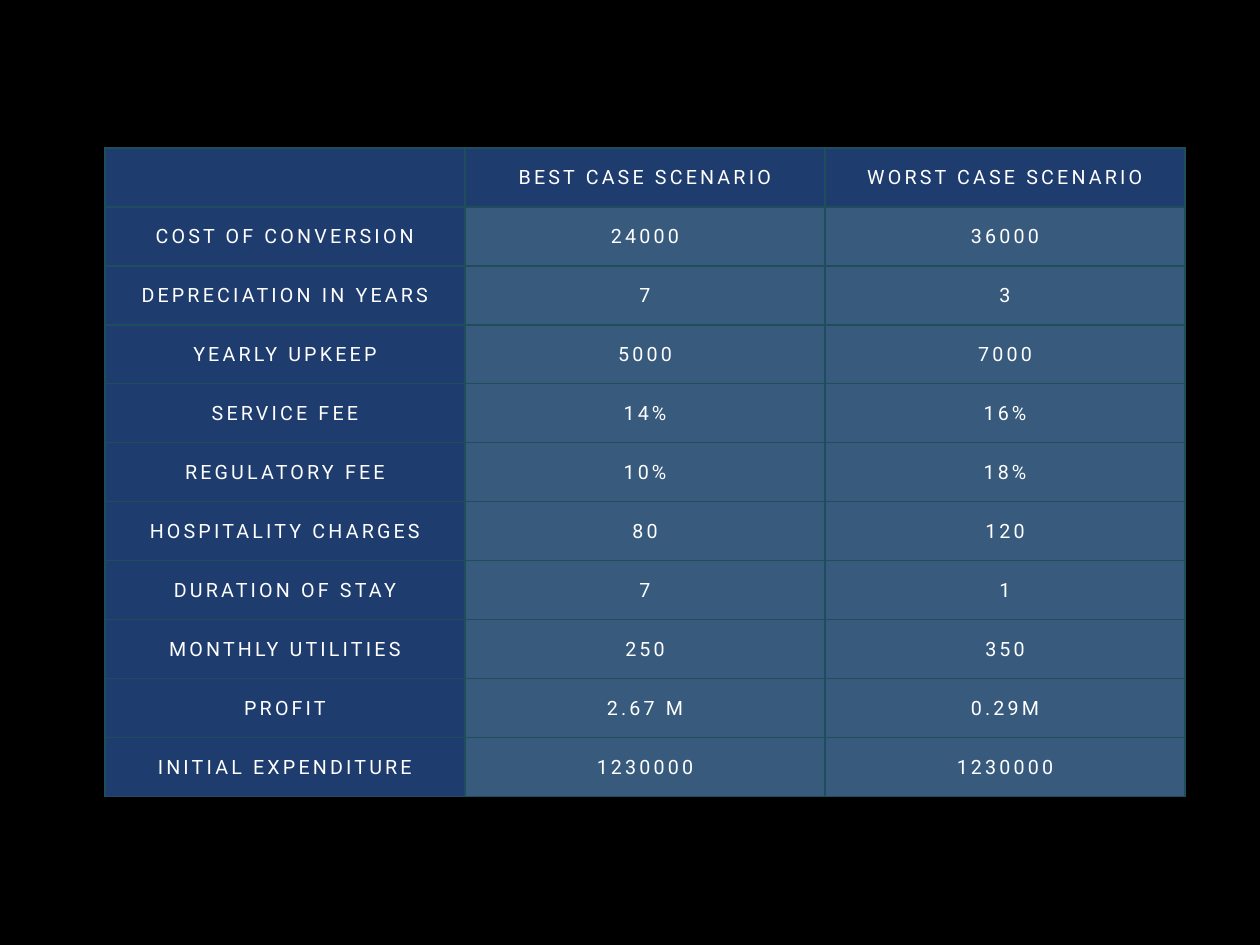
"""Build a slide with a table of best and worst case costs."""
from lxml.etree import SubElement as Sub
from pptx import Presentation
from pptx.dml.color import RGBColor as RGB
from pptx.enum.text import MSO_ANCHOR as Anchor, PP_ALIGN as Align
from pptx.oxml.ns import qn
from pptx.util import Pt

PX = 10320
HUES = {"back": "000000", "head": "1E3C6E", "body": "375A7D",
        "edge": "1E4E5C", "text": "FFFFFF"}
ROWS = [
    ("", "BEST CASE SCENARIO", "WORST CASE SCENARIO"),
    ("COST OF CONVERSION", "24000", "36000"),
    ("DEPRECIATION IN YEARS", "7", "3"),
    ("YEARLY UPKEEP", "5000", "7000"),
    ("SERVICE FEE", "14%", "16%"),
    ("REGULATORY FEE", "10%", "18%"),
    ("HOSPITALITY CHARGES", "80", "120"),
    ("DURATION OF STAY", "7", "1"),
    ("MONTHLY UTILITIES", "250", "350"),
    ("PROFIT", "2.67 M", "0.29M"),
    ("INITIAL EXPENDITURE", "1230000", "1230000"),
]
WIDE, HIGH = 360, 59


def hue(name):
    return RGB.from_string(HUES[name])


def edge(cell):
    props = cell._tc.get_or_add_tcPr()
    for side in "LRTB":
        line = Sub(props, qn(f"a:ln{side}"), w=str(Pt(1)))
        fill = Sub(line, qn("a:solidFill"))
        Sub(fill, qn("a:srgbClr"), val=HUES["edge"])


deck = Presentation()
deck.slide_width, deck.slide_height = 1260 * PX, 945 * PX
slide = deck.slides.add_slide(deck.slide_layouts[6])
back = slide.background.fill
back.solid()
back.fore_color.rgb = hue("back")

table = slide.shapes.add_table(
    len(ROWS), 3, 105 * PX, 148 * PX,
    3 * WIDE * PX, len(ROWS) * HIGH * PX).table
table.first_row = table.horz_banding = False
for col in table.columns:
    col.width = WIDE * PX
for row in table.rows:
    row.height = HIGH * PX

for y, texts in enumerate(ROWS):
    for x, text in enumerate(texts):
        cell = table.cell(y, x)
        edge(cell)
        cell.fill.solid()
        cell.fill.fore_color.rgb = hue("body" if x and y else "head")
        cell.vertical_anchor = Anchor.MIDDLE
        cell.margin_left = cell.margin_right = 5 * PX
        cell.margin_top = cell.margin_bottom = 5 * PX
        if text:
            para = cell.text_frame.paragraphs[0]
            para.alignment = Align.CENTER
            run = para.add_run()
            run.text = text
            run.font.name = "Roboto"
            run.font.size = Pt(16)
            run.font.color.rgb = hue("text")
            run._r.get_or_add_rPr().set("spc", "260")

deck.save("out.pptx")
